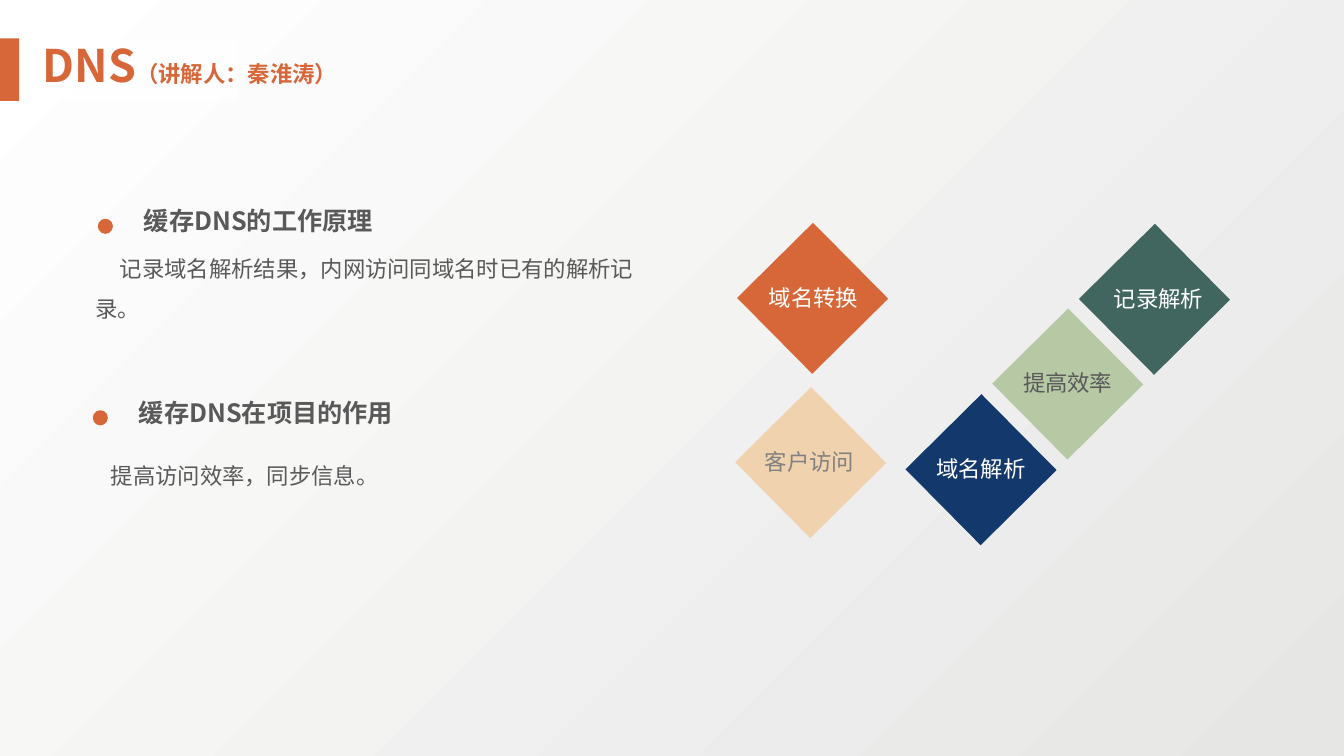
import dataclasses

import lxml.etree
import pptx
import pptx.dml.color
import pptx.enum.shapes
import pptx.enum.text
import pptx.oxml.ns
import pptx.util

Inches = pptx.util.Inches
Align = pptx.enum.text.PP_ALIGN
Shape = pptx.enum.shapes.MSO_SHAPE


@dataclasses.dataclass(frozen=True)
class Theme:
    """Colours, type sizes and the font of the slide."""
    font: str = "Noto Sans CJK SC"
    orange: str = "D76739"
    navy: str = "13396C"
    sand: str = "F0D2AF"
    sage: str = "B7C8A5"
    teal: str = "416660"
    white: str = "FFFFFF"
    shade: str = "E6E6E5"
    ink: str = "595959"
    muted: str = "808080"
    title: int = 32
    heading: int = 18
    body: int = 16


THEME = Theme()


def rgb(code):
    """Return the colour for a hex code."""
    return pptx.dml.color.RGBColor.from_string(code)


def add_block(slide, kind, box, color, rotation=0):
    """Add a plain filled shape without outline in the box."""
    block = slide.shapes.add_shape(kind, *map(Inches, box))
    block.shadow.inherit = False
    block.fill.solid()
    block.fill.fore_color.rgb = rgb(color)
    block.line.fill.background()
    block.rotation = rotation
    return block


def add_run(paragraph, words, size, color, bold=False):
    """Append a formatted run in the theme font."""
    run = paragraph.add_run()
    run.text = words
    formats = {"name": THEME.font, "size": pptx.util.Pt(size), "bold": bold}
    for name, value in formats.items():
        setattr(run.font, name, value)
    run.font.color.rgb = rgb(color)
    east_asian = lxml.etree.SubElement(run.font._element, pptx.oxml.ns.qn("a:ea"))
    east_asian.set("typeface", THEME.font)


def set_frame(frame, align):
    """Prepare a text frame and return its first paragraph."""
    formats = {
        "word_wrap": True,
        "auto_size": pptx.enum.text.MSO_AUTO_SIZE.NONE,
        "vertical_anchor": pptx.enum.text.MSO_ANCHOR.TOP,
        "margin_left": Inches(0.1),
        "margin_right": Inches(0.1),
        "margin_top": Inches(0.05),
        "margin_bottom": Inches(0.05),
    }
    for name, value in formats.items():
        setattr(frame, name, value)
    paragraph = frame.paragraphs[0]
    paragraph.alignment = align
    return paragraph


def add_text(slide, box, words, size, color, align=Align.LEFT, bold=False):
    """Add a one-paragraph text box and return the paragraph."""
    caption = slide.shapes.add_textbox(*map(Inches, box))
    paragraph = set_frame(caption.text_frame, align)
    add_run(paragraph, words, size, color, bold)
    return paragraph


def paint_background(slide):
    """Fill the background with a diagonal gradient."""
    fill = slide.background.fill
    fill.gradient()
    fill.gradient_angle = 135
    for stop, color, position in zip(fill.gradient_stops, (THEME.shade, THEME.white), (0, 1)):
        stop.color.rgb = rgb(color)
        stop.position = position


def add_header(slide, left, top, height):
    """Place the title in front of its pale band and accent bar."""
    band = add_block(slide, Shape.RECTANGLE, (left - 0.05, top, 2.41, height), THEME.white)
    tint = band.fill._xPr.find(".//" + pptx.oxml.ns.qn("a:srgbClr"))
    lxml.etree.SubElement(tint, pptx.oxml.ns.qn("a:alpha")).set("val", "72000")
    bar = add_block(slide, Shape.RECTANGLE, (left, top, 0.19, height), THEME.orange)
    title = slide.shapes.title
    bar._element.addnext(title._element)
    places = {"left": left + 0.01, "top": top - 0.06, "width": 3.75, "height": height + 0.05}
    for name, value in places.items():
        setattr(title, name, Inches(value))
    paragraph = set_frame(title.text_frame, Align.CENTER)
    paragraph.line_spacing = 1.0
    add_run(paragraph, "DNS", THEME.title, THEME.orange, True)
    add_run(paragraph, "（讲解人：秦淮涛）", THEME.body, THEME.orange, True)


def add_topic(slide, box, heading, body, body_drop, indent):
    """Place a dotted heading and the indented text below it."""
    left, top, width, height = box
    add_block(slide, Shape.OVAL, (left + 0.12, top + 0.18, 0.15, 0.15), THEME.orange)
    add_text(slide, (left + 0.48, top, 3.2, 0.42), heading, THEME.heading, THEME.ink, bold=True)
    paragraph = add_text(slide, (left, top + body_drop, width, height - body_drop),
                         body, THEME.body, THEME.ink)
    paragraph.line_spacing = 1.5
    paragraph._p.get_or_add_pPr().set("indent", str(Inches(indent)))


def add_diamonds(slide, left, top):
    """Place the turned squares and their captions by centre."""
    side, width, height = 1.06, 1.7, 0.39
    diamonds = (
        ("域名转换", 0.75, 0.75, 0.01, THEME.orange, THEME.white),
        ("域名解析", 2.42, 2.45, 0, THEME.navy, THEME.white),
        ("客户访问", 0.73, 2.38, -0.01, THEME.sand, THEME.muted),
        ("提高效率", 3.28, 1.6, 0, THEME.sage, THEME.ink),
        ("记录解析", 4.14, 0.76, 0.04, THEME.teal, THEME.white),
    )
    for words, across, down, shift, color, ink in diamonds:
        x, y = left + across, top + down
        add_block(slide, Shape.RECTANGLE, (x - side / 2, y - side / 2, side, side), color, 45.3)
        add_text(slide, (x + shift - width / 2, y - height / 2, width, height),
                 words, THEME.body, ink, Align.CENTER)


def main():
    """Build and save the DNS slide."""
    deck = pptx.Presentation()
    deck.slide_width, deck.slide_height = Inches(13.33), Inches(7.5)
    slide = deck.slides.add_slide(deck.slide_layouts.get_by_name("Title Only"))
    paint_background(slide)
    add_header(slide, 0, 0.38, 0.62)
    add_diamonds(slide, 7.31, 2.21)
    add_topic(slide, (0.85, 1.99, 5.56, 1.26), "缓存DNS的工作原理",
              "记录域名解析结果，内网访问同域名时已有的解析记录。", 0.36, 0.24)
    add_topic(slide, (0.8, 3.89, 5.38, 1.01), "缓存DNS在项目的作用",
              "提高访问效率，同步信息。", 0.51, 0.2)
    deck.save("out.pptx")


if __name__ == "__main__":
    main()
